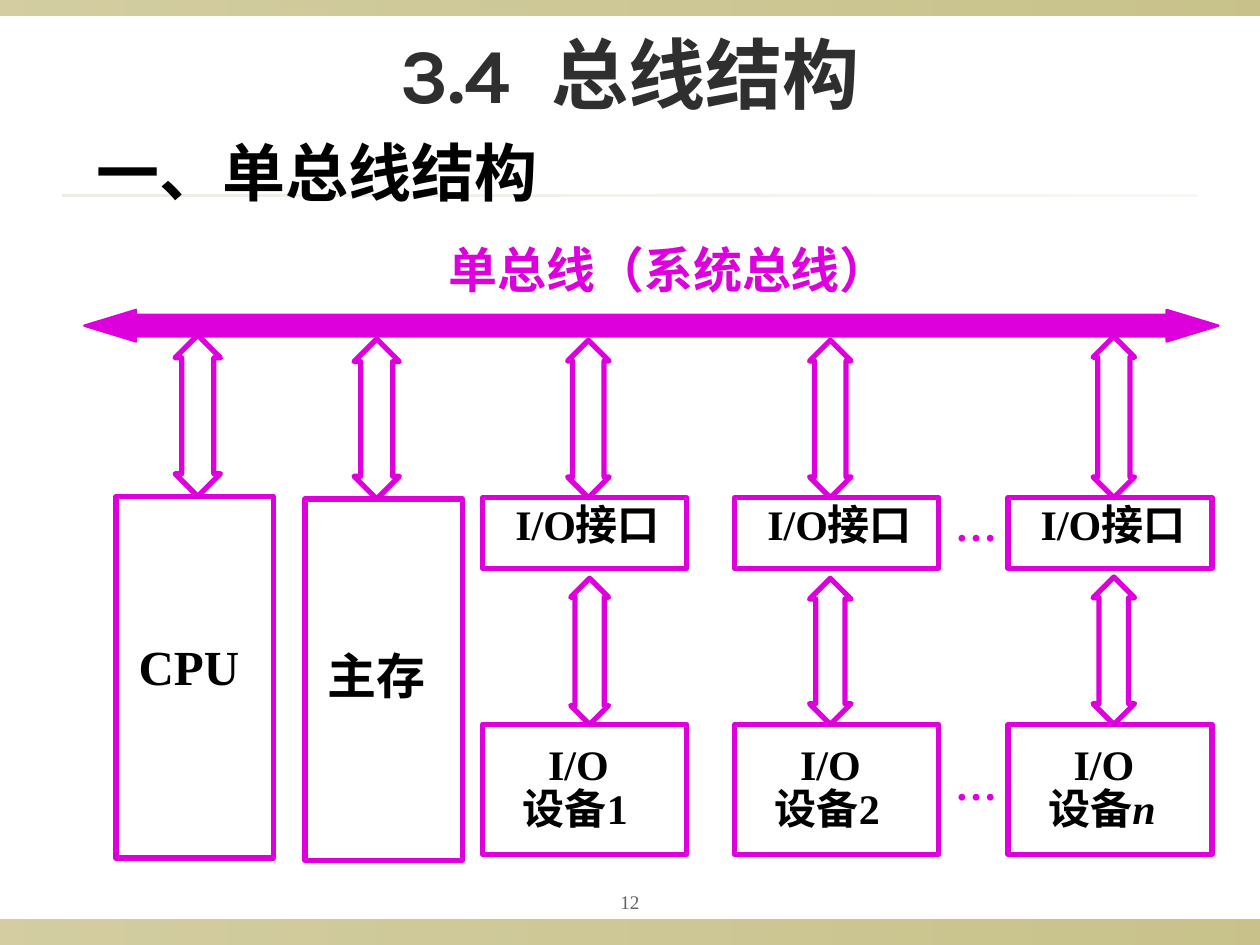
from lxml.etree import SubElement
from pptx import Presentation
from pptx.dml.color import RGBColor
from pptx.enum.shapes import MSO_SHAPE
from pptx.enum.text import MSO_ANCHOR, PP_ALIGN
from pptx.oxml.ns import qn
from pptx.util import Inches, Pt

MAGENTA = RGBColor(0xDD, 0x00, 0xDD)
BLACK = RGBColor(0x00, 0x00, 0x00)
CHARCOAL = RGBColor(0x2F, 0x2F, 0x2F)
GREY = RGBColor(0x63, 0x63, 0x63)
OLIVE = RGBColor(0x91, 0x84, 0x15)
SAND = RGBColor(0xDC, 0xD9, 0xCC)
SERIF, CHINESE = "Times New Roman", "Noto Sans CJK SC"


def add_run(para, text, size, colour=BLACK, latin=SERIF, asian=CHINESE, bold=True):
    """Append a run with separate Latin and East Asian typefaces."""
    span = para.add_run()
    span.text = text
    span.font.size = Pt(size)
    span.font.bold = bold
    span.font.color.rgb = colour
    span.font.name = latin
    SubElement(span.font._element, qn("a:ea")).set("typeface", asian)
    return span


def add_outline(kind, left, top, width, height, line_width=3):
    """Add an unfilled magenta shape whose text starts at the top left."""
    shape = slide.shapes.add_shape(
        kind, Inches(left), Inches(top), Inches(width), Inches(height))
    shape.shadow.inherit = False
    shape.fill.background()
    shape.line.color.rgb = MAGENTA
    shape.line.width = Pt(line_width)
    frame = shape.text_frame
    frame.word_wrap = True
    frame.vertical_anchor = MSO_ANCHOR.TOP
    frame.paragraphs[0].alignment = PP_ALIGN.LEFT
    return shape


deck = Presentation()
deck.slide_width, deck.slide_height = Inches(10), Inches(7.5)
slide = deck.slides.add_slide(deck.slide_layouts[5])

# Bands at the page edges and the rule under the title
for left, top, width, height, colour, opacities in (
        (0, 7.3, 10, 0.2, OLIVE, (40, 50)),
        (0, 0, 10, 0.12, OLIVE, (40, 50)),
        (0.5, 1.54, 9, 0.02, SAND, (50, 20))):
    band = add_outline(MSO_SHAPE.RECTANGLE, left, top, width, height)
    band.line.fill.background()
    band.fill.gradient()
    band.fill.gradient_angle = 0
    for stop in band.fill.gradient_stops:
        stop.color.rgb = colour
    colours = band._element.spPr.iter(qn("a:srgbClr"))
    for element, opacity in zip(colours, opacities):
        SubElement(element, qn("a:alpha")).set("val", str(opacity * 1000))

# Title, with the gap after the number made by letter spacing
title = slide.shapes.title
title.left, title.top = Inches(0.75), Inches(-0.01)
title.width, title.height = Inches(8.5), Inches(1.25)
title.text_frame.vertical_anchor = MSO_ANCHOR.MIDDLE
para = title.text_frame.paragraphs[0]
para.alignment = PP_ALIGN.CENTER
para.line_spacing = 0.95
add_run(para, "3.4", 44, CHARCOAL, "Karla")
gap = add_run(para, " ", 44, CHARCOAL, "Karla")
gap.font._element.set("spc", "1200")
add_run(para, "总线结构", 44, CHARCOAL, "Karla")

# Free-standing text: box, margins, line spacing, size, colour, fonts, bold
for text, box, margins, spacing, size, colour, latin, asian, bold in (
        ("12", (4.5, 7, 1, 0.31), (0.05, 0.05), 1.0, 11, GREY, SERIF, CHINESE, False),
        ("一、单总线结构", (0.67, 1.08, 5.02, 0.7), (0.1, 0.05), 0.9, 36, BLACK,
         SERIF, CHINESE, True),
        ("单总线（系统总线）", (3.56, 1.95, 3.5, 0.47), (0, 0), 0.9, 28, MAGENTA,
         CHINESE, CHINESE, True),
        ("…", (7.58, 3.95, 0.42, 0.4), (0, 0), Pt(30), 24, MAGENTA, SERIF, SERIF, True),
        ("…", (7.58, 6, 0.42, 0.4), (0, 0), Pt(30), 24, MAGENTA, SERIF, SERIF, True)):
    frame = slide.shapes.add_textbox(*map(Inches, box)).text_frame
    frame.word_wrap = True
    frame.margin_left = frame.margin_right = Inches(margins[0])
    frame.margin_top = frame.margin_bottom = Inches(margins[1])
    para = frame.paragraphs[0]
    para.line_spacing = spacing
    if text == "12":
        para.alignment = PP_ALIGN.CENTER
        frame.vertical_anchor = MSO_ANCHOR.MIDDLE
    add_run(para, text, size, colour, latin, asian, bold)

# System bus
bus = add_outline(MSO_SHAPE.LEFT_RIGHT_ARROW, 0.67, 2.46, 9, 0.25, 1.39)
bus.fill.solid()
bus.fill.fore_color.rgb = MAGENTA
bus.adjustments[0], bus.adjustments[1] = 0.68, 1.64

# Processor and memory
for text, left, top, bottom_margin in (
        ("CPU", 0.92, 3.94, 0.19), ("主存", 2.42, 3.96, 0.09)):
    unit = add_outline(MSO_SHAPE.RECTANGLE, left, top, 1.25, 2.87)
    frame = unit.text_frame
    frame.vertical_anchor = MSO_ANCHOR.MIDDLE
    frame.margin_left, frame.margin_bottom = Inches(0.18), Inches(bottom_margin)
    para = frame.paragraphs[0]
    para.line_spacing = Pt(31)
    add_run(para, text, 28)

# Interfaces with their devices
for left, number in ((3.83, "1"), (5.83, "2"), (8, "n")):
    interface = add_outline(MSO_SHAPE.RECTANGLE, left, 3.95, 1.62, 0.56)
    frame = interface.text_frame
    frame.margin_left, frame.margin_right = Inches(0.26), Inches(0.02)
    para = frame.paragraphs[0]
    para.line_spacing = 0.9
    add_run(para, "I/O接口", 24)

    device = add_outline(MSO_SHAPE.RECTANGLE, left, 5.75, 1.62, 1.03)
    frame = device.text_frame
    frame.margin_left = Inches(0.32)
    para = frame.paragraphs[0]
    para.line_spacing = Pt(33)
    para._p.get_or_add_pPr().set("indent", str(Inches(0.2)))
    add_run(para, "I/O", 24)
    para = frame.add_paragraph()
    para.alignment = PP_ALIGN.LEFT
    para.line_spacing = 0.9
    add_run(para, "设备", 24)
    add_run(para, number, 24).font.italic = number == "n"

# Two-way arrows: centre, top, bottom, width
for centre, top, bottom, width in (
        (1.57, 2.66, 3.94, 0.36), (2.99, 2.69, 3.96, 0.36),
        (4.67, 2.7, 3.95, 0.33), (4.68, 4.59, 5.75, 0.3),
        (6.59, 2.7, 3.95, 0.33), (6.59, 4.59, 5.75, 0.33),
        (8.84, 2.67, 3.95, 0.33), (8.84, 4.58, 5.75, 0.33)):
    height = bottom - top
    arrow = add_outline(
        MSO_SHAPE.UP_DOWN_ARROW, centre - width / 2, top, width, height)
    arrow.adjustments[0] = 0.5
    arrow.adjustments[1] = 0.2 * height / width

deck.save("out.pptx")
